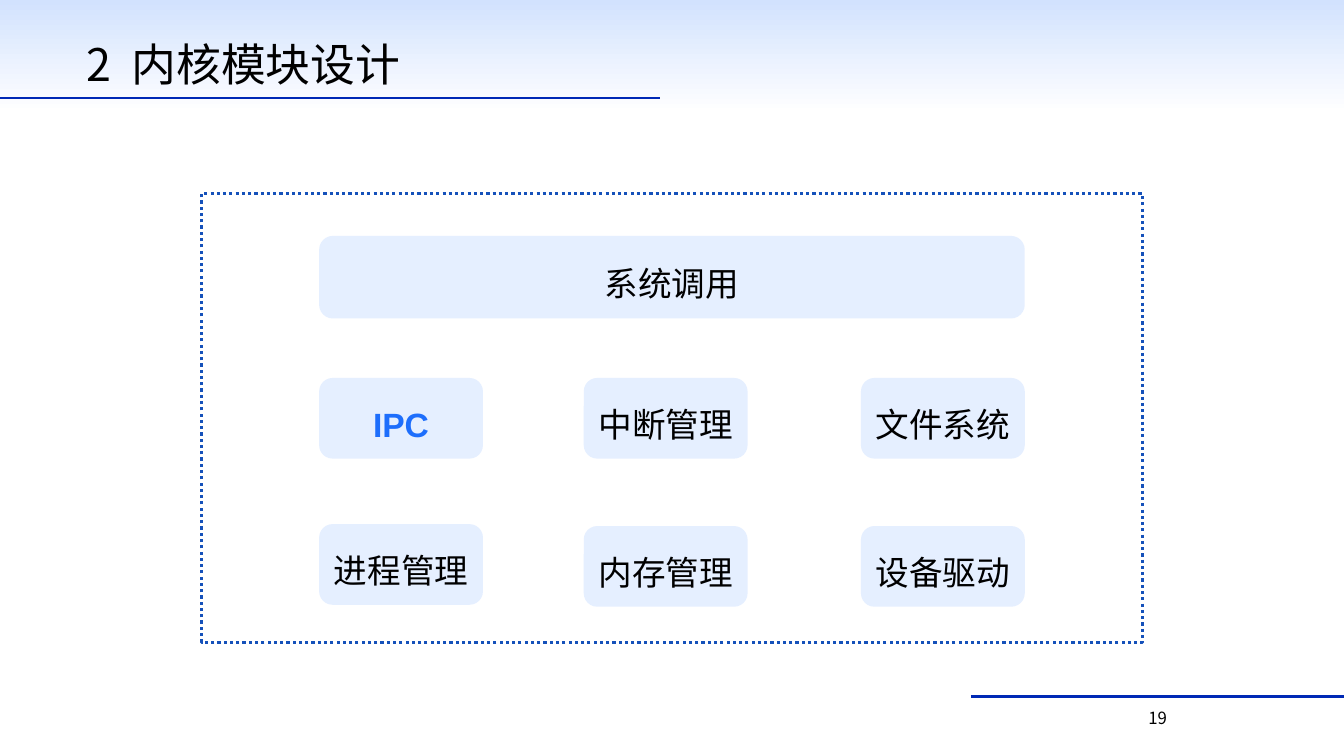
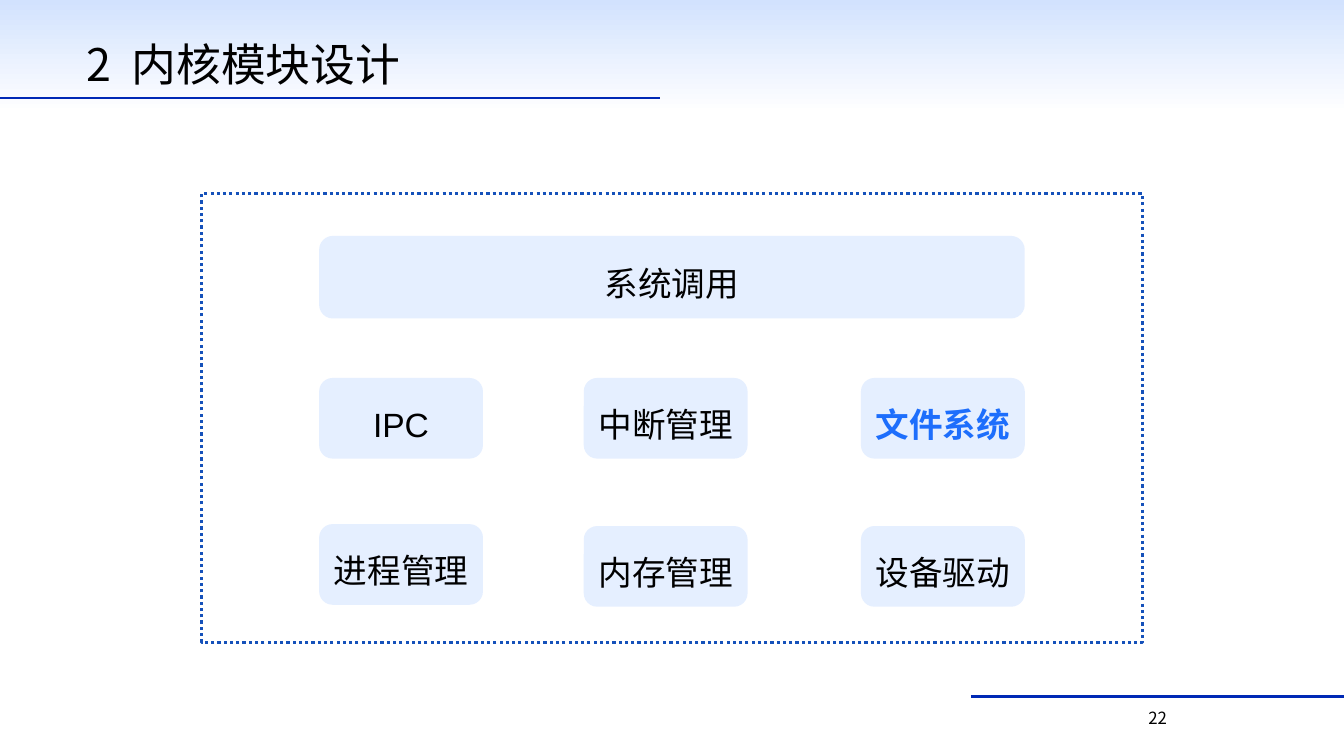
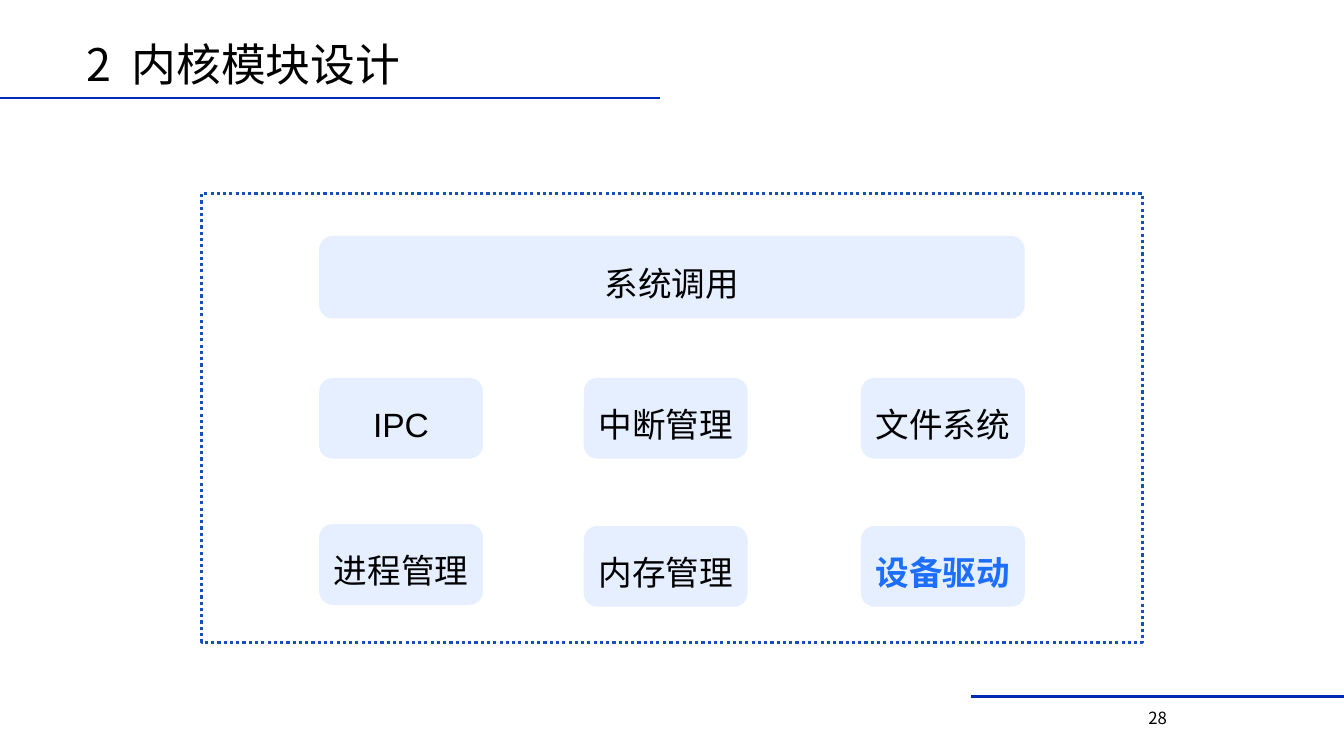
"""Builds three kernel module slides, each highlighting one module."""
from lxml.etree import SubElement
from pptx import Presentation
from pptx.dml.color import RGBColor
from pptx.enum.dml import MSO_LINE
from pptx.enum.shapes import MSO_CONNECTOR, MSO_SHAPE
from pptx.enum.text import MSO_ANCHOR, MSO_AUTO_SIZE, PP_ALIGN
from pptx.oxml.ns import qn
from pptx.util import Pt

WHITE = RGBColor(0xFF, 0xFF, 0xFF)
BLACK = RGBColor(0x00, 0x00, 0x00)
SKY = RGBColor(0xD2, 0xE2, 0xFE)
PALE = RGBColor(0xE5, 0xEF, 0xFF)
RULE = RGBColor(0x00, 0x29, 0xB5)
FRAME = RGBColor(0x15, 0x51, 0xBA)
ACCENT = RGBColor(0x1D, 0x6E, 0xFC)
CJK = "Noto Sans CJK SC"

SLIDES = [("19", "IPC", True), ("22", "文件系统", True), ("28", "设备驱动", False)]
RULES = [(693.5, 960, 497.5), (0, 471.5, 70)]
COLUMNS = [(228, 374.4, "IPC", "进程管理"),
           (417, 375.8, "中断管理", "内存管理"),
           (615, 375.8, "文件系统", "设备驱动")]
BOXES = [(228, 168.5, 504, 59, "系统调用")]
for x, lower_y, upper, lower in COLUMNS:
    BOXES += [(x, 270, 117, 57.6, upper), (x, lower_y, 117, 57.6, lower)]


def style(p, size, font, color=BLACK, bold=False, align=PP_ALIGN.CENTER, spacing=1.3):
    p.alignment, p.line_spacing = align, spacing
    p.font.size, p.font.name, p.font.bold = Pt(size), font, bold
    p.font.color.rgb = color
    for r in p.runs:
        SubElement(r._r.get_or_add_rPr(), qn("a:ea")).set("typeface", CJK)


prs = Presentation()
prs.slide_width, prs.slide_height = Pt(960), Pt(540)
layout = prs.slide_layouts[5]
fill = layout.background.fill
fill.gradient()
fill.gradient_angle = 90
for stop, (position, color) in zip(fill.gradient_stops, [(0.85, WHITE), (1, SKY)]):
    stop.position, stop.color.rgb = position, color

for number, current, shaded in SLIDES:
    s = prs.slides.add_slide(layout)
    if not shaded:
        s.background.fill.solid()
        s.background.fill.fore_color.rgb = WHITE

    title = s.shapes.title
    title.left, title.top, title.width, title.height = Pt(54.7), Pt(5), Pt(294.5), Pt(64)
    tf = title.text_frame
    tf.auto_size, tf.vertical_anchor = MSO_AUTO_SIZE.NONE, MSO_ANCHOR.BOTTOM
    p = tf.paragraphs[0]
    r = p.add_run()
    r.text = "2 "
    r._r.get_or_add_rPr().set("spc", "350")
    p.add_run().text = "内核模块设计"
    style(p, 32, CJK, align=PP_ALIGN.LEFT, spacing=0.9)

    for x1, x2, y in RULES:
        line = s.shapes.add_connector(MSO_CONNECTOR.STRAIGHT, Pt(x1), Pt(y), Pt(x2), Pt(y))
        line.line.color.rgb, line.line.width = RULE, Pt(1.75)
        SubElement(line._element.spPr, qn("a:effectLst"))

    sp = s.shapes.add_shape(MSO_SHAPE.RECTANGLE, Pt(144), Pt(138.3), Pt(672), Pt(320.5))
    sp.shadow.inherit = False
    sp.fill.background()
    sp.line.color.rgb, sp.line.width = FRAME, Pt(2.25)
    sp.line.dash_style = MSO_LINE.ROUND_DOT

    for x, y, w, h, label in BOXES:
        sp = s.shapes.add_shape(MSO_SHAPE.ROUNDED_RECTANGLE, Pt(x), Pt(y), Pt(w), Pt(h))
        sp.shadow.inherit = False
        sp.fill.solid()
        sp.fill.fore_color.rgb = PALE
        sp.line.fill.background()
        tf = sp.text_frame
        tf.text, tf.vertical_anchor = label, MSO_ANCHOR.MIDDLE
        active = label == current
        style(tf.paragraphs[0], 24, "Arial", ACCENT if active else BLACK, active)

    tf = s.shapes.add_textbox(Pt(685.5), Pt(497.5), Pt(283), Pt(26)).text_frame
    tf.word_wrap = True
    tf.text = number
    style(tf.paragraphs[0], 12, CJK)

prs.save("out.pptx")
